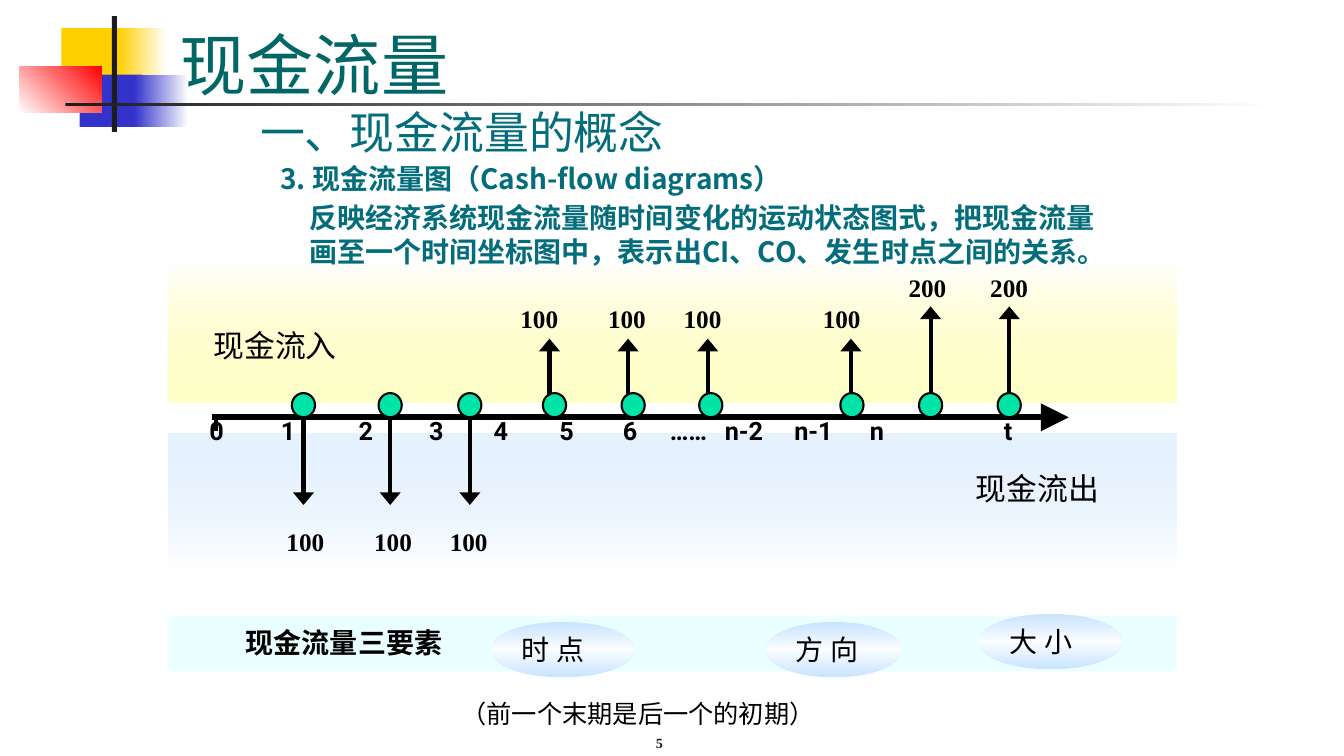
"""Builds the cash-flow diagram slide."""
from lxml import etree
from pptx import Presentation
from pptx.dml.color import RGBColor
from pptx.enum.shapes import MSO_CONNECTOR, MSO_SHAPE
from pptx.enum.text import MSO_ANCHOR, MSO_AUTO_SIZE, PP_ALIGN
from pptx.oxml.ns import qn
from pptx.util import Inches, Pt

RECT, ELLIPSE = MSO_SHAPE.RECTANGLE, MSO_SHAPE.OVAL
MARKER = MSO_SHAPE.FLOWCHART_CONNECTOR
STRAIGHT = MSO_CONNECTOR.STRAIGHT
TOP, MIDDLE, BOTTOM = MSO_ANCHOR.TOP, MSO_ANCHOR.MIDDLE, MSO_ANCHOR.BOTTOM
LEFT, CENTER = PP_ALIGN.LEFT, PP_ALIGN.CENTER
NO_FIT = MSO_AUTO_SIZE.NONE

COLORS = {
    "white": "FFFFFF", "black": "000000", "ink": "1C1C1C", "gold": "FFCF01",
    "blue": "3333CC", "red": "FF0000", "title": "006666", "teal": "036D7B",
    "sky": "C9E4FF", "pale": "FAFCFF", "yellow": "FFFF89", "mint": "00E4A8",
    "aqua": "CCFFFF",
}
SERIF, SANS, CJK = "Times New Roman", "Roboto", "Noto Sans CJK SC"

TITLE = "现金流量"
HEADING = "一、现金流量的概念"
SUBHEADING = "3. 现金流量图（Cash-flow diagrams）"
DEFINITION = ("反映经济系统现金流量随时间变化的运动状态图式，把现金流量画至"
              "一个时间坐标图中，表示出CI、CO、发生时点之间的关系。")
FOOTNOTE = "（前一个末期是后一个的初期）"
PAGE = "5"

ORNAMENT = [
    ((0.61, 0.28, 0.64, 0.52), [(0, "gold", 100)], 0),
    ((1.17, 0.28, 0.48, 0.52), [(0, "gold", 100), (100, "white", 100)], 0),
    ((0.79, 0.74, 0.62, 0.52), [(0, "blue", 100)], 0),
    ((1.33, 0.74, 0.54, 0.52), [(0, "blue", 100), (100, "white", 100)], 0),
    ((0.19, 0.66, 0.82, 0.46), [(0, "white", 100), (100, "red", 100)], 315),
    ((1.11, 0.16, 0.05, 1.15), [(0, "ink", 100)], 0),
    ((0.65, 1.02, 12, 0.03), [(0, "ink", 100), (100, "white", 100)], 0),
]
BAND_LEFT, BAND_WIDTH = 1.67, 10
BANDS = [
    (4.3, 1.34, [(0, "sky", 45), (100, "white", 100)], "现金流出", (9.58, 4.61)),
    (2.57, 1.42, [(0, "white", 100), (100, "yellow", 45)], "现金流入", (2.02, 3.19)),
]
AXIS_Y, AXIS_START, AXIS_END, ORIGIN = 4.14, 2.1, 10.6, 2.14
FLOWS = [
    (3.01, 3.01, 5.01), (3.87, 3.87, 5.01), (4.66, 4.66, 5.01),
    (5.45, 5.5, 3.36), (6.23, 6.28, 3.36), (7.02, 7.05, 3.36),
    (8.44, 8.45, 3.36), (9.23, 9.23, 3.04), (10.01, 10.01, 3.04),
]
MARKER_SIZE = (0.23, 0.24)
LABEL_ROWS = [
    ((2.49, 5.17, 2.68, 0.4), SERIF,
     [("100", 3.03), ("100", 3.9), ("100", 4.65)]),
    ((4.82, 2.96, 3.94, 0.4), SERIF,
     [("100", 5.35), ("100", 6.22), ("100", 6.97), ("100", 8.35)]),
    ((8.91, 2.65, 1.39, 0.4), SERIF, [("200", 9.2), ("200", 10.01)]),
    ((1.78, 4.07, 9.41, 0.71), SANS,
     [("0", 2.15), ("1", 2.86), ("2", 3.63), ("3", 4.33), ("4", 4.97),
      ("5", 5.62), ("6", 6.25), ("……", 6.83), ("n-2", 7.38), ("n-1", 8.07),
      ("n", 8.7), ("t", 10)]),
]
ELEMENTS_TITLE = "现金流量三要素"
ELEMENTS = [("大 小", (9.71, 6.09, 1.42, 0.55)),
            ("方 向", (7.6, 6.17, 1.34, 0.55)),
            ("时 点", (4.87, 6.17, 1.42, 0.55))]
INSET = 0.1


def inches(box):
    return [Inches(length) for length in box]


def rgb(color):
    return RGBColor.from_string(COLORS[color])


def write(frame, text, size, font=SERIF, color="black", bold=False,
          align=LEFT, anchor=TOP, wrap=True, tabs=()):
    frame.word_wrap = wrap
    frame.auto_size = NO_FIT
    frame.vertical_anchor = anchor
    paragraph = frame.paragraphs[0]
    paragraph.text = text
    paragraph.alignment = align
    paragraph.space_before = Pt(0)
    properties = paragraph._p.get_or_add_pPr()
    if tabs:
        stops = etree.SubElement(properties, qn("a:tabLst"))
        for tab in tabs:
            etree.SubElement(stops, qn("a:tab"), pos=str(Inches(tab)), algn="ctr")
    paragraph.font.name = font
    paragraph.font.size = Pt(size)
    paragraph.font.bold = bold
    paragraph.font.color.rgb = rgb(color)
    return properties


def add_text(slide, box, text, size, **style):
    write(slide.shapes.add_textbox(*inches(box)).text_frame, text, size, **style)


def add_block(slide, kind, box, stops, angle=0):
    block = slide.shapes.add_shape(kind, *inches(box))
    block.shadow.inherit = False
    block.line.fill.background()
    block.fill.solid()
    block.fill.fore_color.rgb = rgb(stops[0][1])
    solid = block._element.spPr.find(qn("a:solidFill"))
    if len(stops) == 1:
        etree.SubElement(solid[0], qn("a:alpha"), val=str(stops[0][2] * 1000))
        return block
    gradient = etree.Element(qn("a:gradFill"), rotWithShape="1")
    stop_list = etree.SubElement(gradient, qn("a:gsLst"))
    for position, color, opacity in stops:
        stop = etree.SubElement(stop_list, qn("a:gs"), pos=str(position * 1000))
        tint = etree.SubElement(stop, qn("a:srgbClr"), val=COLORS[color])
        if opacity < 100:
            etree.SubElement(tint, qn("a:alpha"), val=str(opacity * 1000))
    etree.SubElement(gradient, qn("a:lin"), ang=str(angle * 60000), scaled="0")
    solid.getparent().replace(solid, gradient)
    return block


def add_line(slide, ends, width, head_length=None):
    line = slide.shapes.add_connector(STRAIGHT, *inches(ends))
    line.line.color.rgb = rgb("black")
    line.line.width = Pt(width)
    if head_length:
        etree.SubElement(line.line._get_or_add_ln(), qn("a:tailEnd"),
                         type="triangle", w="lg", len=head_length)
    etree.SubElement(line._element.spPr, qn("a:effectLst"))


def add_headings(slide):
    title, body = slide.placeholders
    title.left, title.top, title.width, title.height = inches((1.68, 0.16, 11.36, 0.92))
    write(title.text_frame, TITLE, 48, color="title", anchor=BOTTOM)
    body.left, body.top, body.width, body.height = inches((2.48, 0.99, 8.98, 5.91))
    properties = write(body.text_frame, HEADING, 32, color="teal")
    properties.set("marL", "0")
    properties.set("indent", "0")
    bullet = etree.Element(qn("a:buNone"))
    properties.find(qn("a:spcBef")).addnext(bullet)
    add_text(slide, (2.68, 1.55, 6.07, 0.44), SUBHEADING, 20,
             font=CJK, color="teal", bold=True)


def add_diagram(slide):
    for top, height, stops, label, corner in BANDS:
        add_block(slide, RECT, (BAND_LEFT, top, BAND_WIDTH, height), stops, 90)
        add_text(slide, (*corner, 1.44, 0.47), label, 22, wrap=False)
    add_line(slide, (ORIGIN, AXIS_Y, ORIGIN, AXIS_Y + 0.14), 3)
    add_line(slide, (AXIS_START, AXIS_Y, AXIS_END, AXIS_Y), 4, "lg")
    for x, _, tip in FLOWS:
        add_line(slide, (x, AXIS_Y, x, tip), 3, "med")
    for box, font, labels in LABEL_ROWS:
        add_text(slide, box, "".join("\t" + label for label, _ in labels), 18,
                 font=font, bold=True,
                 tabs=[center - box[0] - INSET for _, center in labels])
    width, height = MARKER_SIZE
    for _, center, _ in FLOWS:
        marker = add_block(slide, MARKER,
                           (center - width / 2, AXIS_Y - height, width, height),
                           [(0, "mint", 100)])
        marker.line.color.rgb = rgb("black")
        marker.line.width = Pt(1.5)


def add_elements(slide):
    add_block(slide, RECT, (BAND_LEFT, 6.11, BAND_WIDTH, 0.55), [(0, "aqua", 41)])
    add_text(slide, (2.34, 6.16, 2.16, 0.43), ELEMENTS_TITLE, 20, bold=True, wrap=False)
    for label, box in ELEMENTS:
        element = add_block(slide, ELLIPSE, box,
                            [(0, "sky", 100), (50, "pale", 100), (100, "sky", 100)], 90)
        write(element.text_frame, label, 20, anchor=MIDDLE)


def main():
    deck = Presentation()
    deck.slide_width, deck.slide_height = inches((13.33, 7.5))
    slide = deck.slides.add_slide(deck.slide_layouts[1])
    for box, stops, angle in ORNAMENT:
        add_block(slide, RECT, box, stops, angle)
    add_text(slide, (5.15, 7, 2.78, 0.5), PAGE, 10, color="ink", bold=True,
             align=CENTER, anchor=BOTTOM)
    add_headings(slide)
    add_diagram(slide)
    add_elements(slide)
    add_text(slide, (2.97, 1.94, 8.03, 0.77), DEFINITION, 20,
             font=CJK, color="teal", bold=True)
    add_text(slide, (4.48, 6.88, 3.74, 0.4), FOOTNOTE, 18, font=SANS, wrap=False)
    deck.save("out.pptx")


if __name__ == "__main__":
    main()
